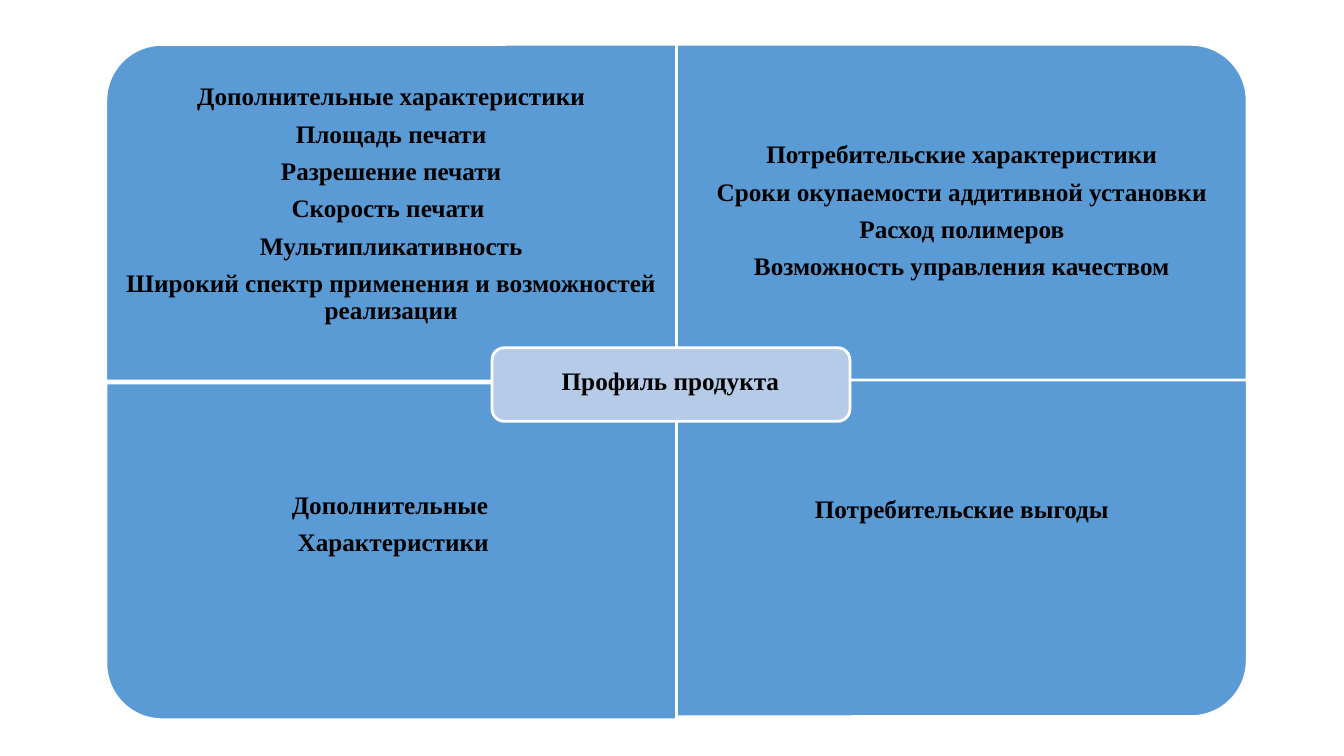
import pptx
import pptx.util
import pptx.dml.color
import pptx.enum.shapes
import pptx.enum.text
from pptx.util import Inches

THEME = {
    "font": "Times New Roman", "size": 18, "space_after": 7.2, "line_spacing": 0.9,
    "text": "000000", "quadrant": "5B9BD5", "center": "B5CBE7", "outline": "FFFFFF", "outline_width": 2,
}

# Quadrants: column, top, rotation, text left, text top, lines
QUADRANTS = [
    (0, 0.44, 270, 1.05, 0.78, [
        "Дополнительные характеристики",
        "Площадь печати",
        "Разрешение печати",
        "Скорость печати ",
        "Мультипликативность",
        "Широкий спектр применения и возможностей реализации",
    ]),
    (1, 0.44, 0, 6.71, 0.85, [
        "Потребительские характеристики",
        "Сроки окупаемости аддитивной установки",
        "Расход полимеров",
        "Возможность управления качеством",
    ]),
    (1, 3.77, 90, 6.71, 3.81, ["Потребительские выгоды"]),
    (0, 3.8, 180, 1.07, 3.96, ["Дополнительные ", "Характеристики"]),
]
CENTER_LABEL = "Профиль продукта"

LEFT, WIDTH, HEIGHT, TEXT_HEIGHT = 1.05, 5.66, 3.34, 2.5
SHAPES = pptx.enum.shapes.MSO_SHAPE


def color(name):
    return pptx.dml.color.RGBColor.from_string(THEME[name])


def add_panel(slide, kind, left, top, width, height, fill, rotation=0):
    shape = slide.shapes.add_shape(kind, Inches(left), Inches(top), Inches(width), Inches(height))
    shape.shadow.inherit = False
    shape.rotation = rotation
    shape.fill.solid()
    shape.fill.fore_color.rgb = color(fill)
    shape.line.color.rgb = color("outline")
    shape.line.width = pptx.util.Pt(THEME["outline_width"])


def add_text(slide, left, top, width, height, inset, lines):
    frame = slide.shapes.add_textbox(Inches(left), Inches(top), Inches(width), Inches(height)).text_frame
    frame.word_wrap = True
    frame.vertical_anchor = pptx.enum.text.MSO_ANCHOR.MIDDLE
    frame.margin_left = frame.margin_right = frame.margin_top = frame.margin_bottom = Inches(inset)
    for index, line in enumerate(lines):
        paragraph = frame.add_paragraph() if index else frame.paragraphs[0]
        paragraph.alignment = pptx.enum.text.PP_ALIGN.CENTER
        paragraph.line_spacing = THEME["line_spacing"]
        paragraph.space_after = pptx.util.Pt(THEME["space_after"])
        run = paragraph.add_run()
        run.text = line
        run.font.name = THEME["font"]
        run.font.size = pptx.util.Pt(THEME["size"])
        run.font.bold = True
        run.font.color.rgb = color("text")


def main():
    presentation = pptx.Presentation()
    presentation.slide_width = Inches(13.33)
    presentation.slide_height = Inches(7.5)
    slide = presentation.slides.add_slide(presentation.slide_layouts[6])

    # Four quadrants, each rounded at its outer corner
    for column, top, rotation, text_left, text_top, lines in QUADRANTS:
        left, width, height = LEFT + column * WIDTH, WIDTH, HEIGHT
        if rotation in (90, 270):
            # A quarter turn swaps the sides around the same centre
            shift = (WIDTH - HEIGHT) / 2
            left, top, width, height = left + shift, top - shift, HEIGHT, WIDTH
        add_panel(slide, SHAPES.ROUND_1_RECTANGLE, left, top, width, height, "quadrant", rotation)
        add_text(slide, text_left, text_top, WIDTH, TEXT_HEIGHT, 0.07, lines)

    # Central label
    add_panel(slide, SHAPES.ROUNDED_RECTANGLE, 4.88, 3.45, 3.55, 0.73, "center")
    add_text(slide, 5.3, 3.47, 2.7, 0.64, 0.04, [CENTER_LABEL])

    presentation.save("out.pptx")


if __name__ == "__main__":
    main()
